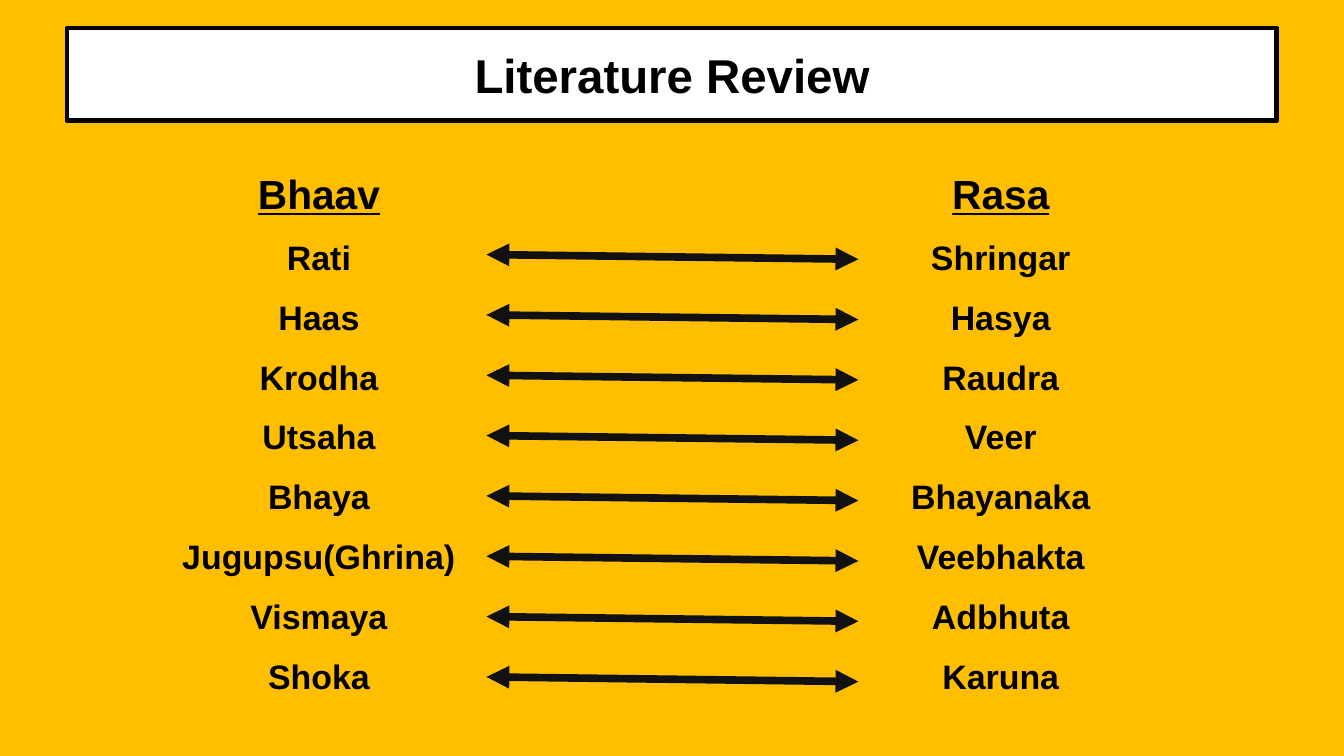
import pptx
import pptx.util
import pptx.dml.color
import pptx.enum.shapes
import pptx.enum.text
import pptx.oxml
import pptx.oxml.ns
from dataclasses import dataclass

Pt = pptx.util.Pt


@dataclass(frozen=True)
class Theme:
    background: str = "FFBF00"
    panel: str = "FFFFFF"
    ink: str = "000000"
    arrow: str = "111111"
    font: str = "Arial"
    title_size: float = 28
    heading_size: float = 24
    item_size: float = 20
    border: float = 2.83
    arrow_width: float = 4.5


THEME = Theme()

PAIRS = [
    ("Rati", "Shringar"),
    ("Haas", "Hasya"),
    ("Krodha", "Raudra"),
    ("Utsaha", "Veer"),
    ("Bhaya", "Bhayanaka"),
    ("Jugupsu(Ghrina)", "Veebhakta"),
    ("Vismaya", "Adbhuta"),
    ("Shoka", "Karuna"),
]


def color(code):
    return pptx.dml.color.RGBColor.from_string(code)


def prepare_frame(shape, inset=0):
    frame = shape.text_frame
    frame.word_wrap = True
    frame.vertical_anchor = pptx.enum.text.MSO_ANCHOR.MIDDLE
    frame.margin_left = frame.margin_right = Pt(inset)
    frame.margin_top = frame.margin_bottom = Pt(inset)
    return frame


def write_text(paragraph, text, *, size, underline=False, before=0, after=0):
    paragraph.alignment = pptx.enum.text.PP_ALIGN.CENTER
    paragraph.space_before = Pt(before)
    paragraph.space_after = Pt(after)
    run = paragraph.add_run()
    run.text = text
    run.font.name = THEME.font
    run.font.size = Pt(size)
    run.font.bold = True
    run.font.underline = underline
    run.font.color.rgb = color(THEME.ink)


def add_title(slide, text, left, top, width, height):
    shape = slide.shapes.add_shape(
        pptx.enum.shapes.MSO_SHAPE.RECTANGLE,
        Pt(left), Pt(top), Pt(width), Pt(height))
    shape.shadow.inherit = False
    shape.fill.solid()
    shape.fill.fore_color.rgb = color(THEME.panel)
    shape.line.color.rgb = color(THEME.ink)
    shape.line.width = Pt(THEME.border)
    frame = prepare_frame(shape, inset=1.4)
    write_text(frame.paragraphs[0], text, size=THEME.title_size)


def add_column(slide, heading, items, left, top, width, height):
    shape = slide.shapes.add_textbox(Pt(left), Pt(top), Pt(width), Pt(height))
    frame = prepare_frame(shape)
    spacing = {"before": 2.8, "after": 8.5}
    write_text(frame.paragraphs[0], heading,
               size=THEME.heading_size, underline=True, **spacing)
    for item in items:
        write_text(frame.add_paragraph(), item, size=THEME.item_size, **spacing)


def add_arrows(slide, count, left, top, width, height, drop=2.8):
    """Spread slightly sloping double arrows evenly over the box."""
    pitch = (height - drop) / (count - 1)
    for index in range(count):
        start = top + index * pitch
        connector = slide.shapes.add_connector(
            pptx.enum.shapes.MSO_CONNECTOR.STRAIGHT,
            Pt(left), Pt(start), Pt(left + width), Pt(start + drop))
        connector.line.color.rgb = color(THEME.arrow)
        connector.line.width = Pt(THEME.arrow_width)
        # Arrowheads at both ends, no shadow
        line = connector.line._get_or_add_ln()
        for end in ("a:headEnd", "a:tailEnd"):
            arrowhead = pptx.oxml.ns.qn(end)
            line.append(line.makeelement(arrowhead, {"type": "triangle"}))
        properties = connector._element.spPr
        properties.append(
            properties.makeelement(pptx.oxml.ns.qn("a:effectLst"), {}))


def build_review_slide(presentation):
    slide = presentation.slides.add_slide(presentation.slide_layouts[6])
    slide.background.fill.solid()
    slide.background.fill.fore_color.rgb = color(THEME.background)

    # Title panel
    add_title(slide, "Literature Review", 39.6, 16.6, 714.2, 54.7)

    # Paired lists
    bhaavs, rasas = zip(*PAIRS)
    add_column(slide, "Bhaav", bhaavs, 42.5, 85, 291.6, 340.6)
    add_column(slide, "Rasa", rasas, 445, 85, 291.6, 340.6)

    # Links between the lists
    add_arrows(slide, len(PAIRS), 287.2, 150.3, 219.6, 252.2)


def main():
    presentation = pptx.Presentation()
    presentation.slide_width = Pt(793.44)
    presentation.slide_height = Pt(446.4)
    build_review_slide(presentation)
    presentation.save("out.pptx")


if __name__ == "__main__":
    main()
